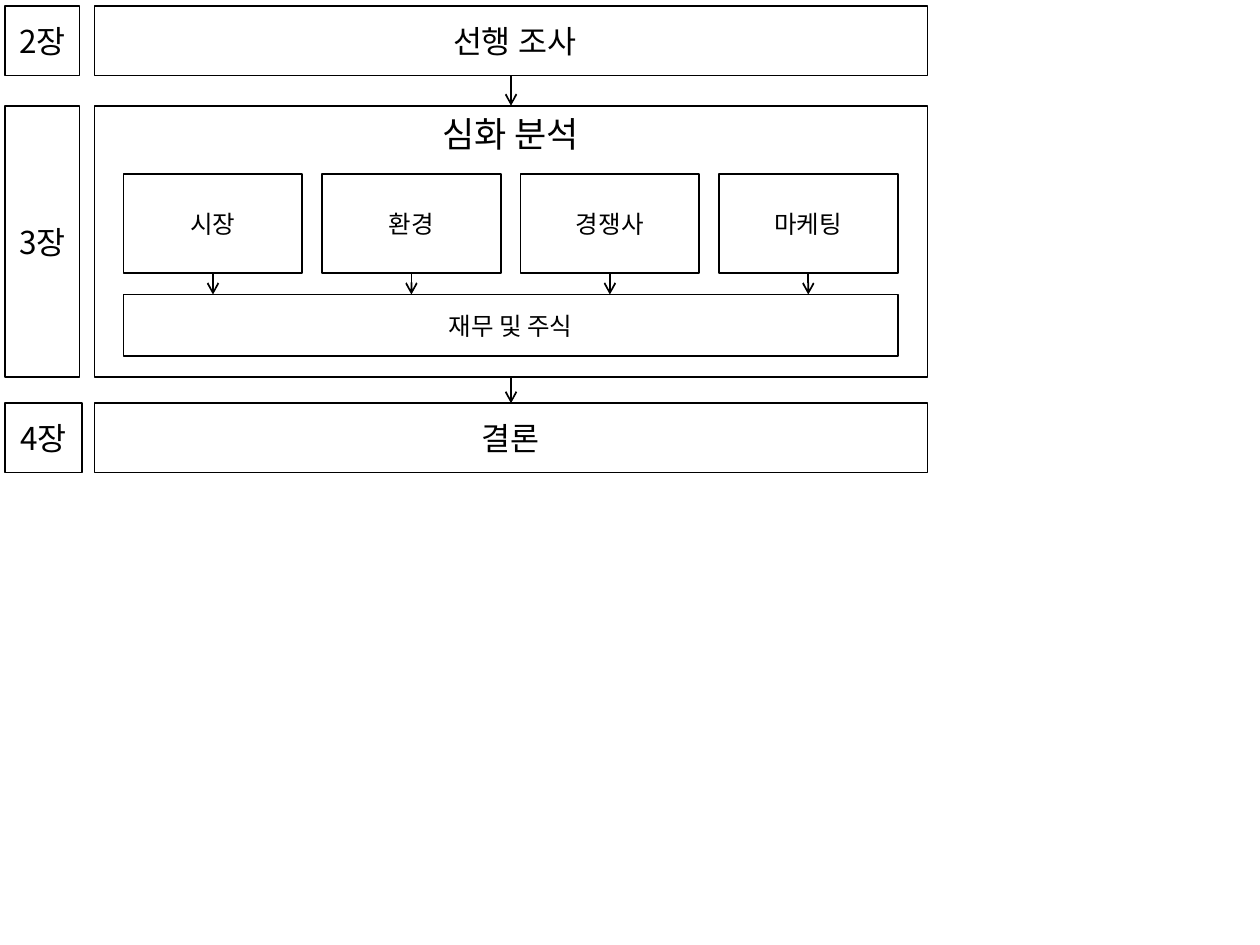
from lxml.etree import SubElement
from pptx import Presentation
from pptx.dml.color import RGBColor
from pptx.enum.shapes import MSO_CONNECTOR, MSO_SHAPE
from pptx.enum.text import MSO_ANCHOR, PP_ALIGN
from pptx.oxml.ns import qn
from pptx.util import Pt

BLACK = RGBColor(0, 0, 0)
WHITE = RGBColor(255, 255, 255)
FONT = "Noto Sans CJK KR"

CHAPTER_LEFT, CHAPTER_WIDTH = 2.9, 42.5
STAGE_LEFT, STAGE_WIDTH = 54, 476
STAGE_CENTER = STAGE_LEFT + STAGE_WIDTH / 2
SURVEY_TOP, ANALYSIS_TOP, CONCLUSION_TOP = 3.6, 60.4, 230.4
BAND_HEIGHT, ANALYSIS_HEIGHT = 39.6, 155.2
TOPIC_LEFT, TOPIC_TOP = 70.6, 99.4
TOPIC_WIDTH, TOPIC_HEIGHT, TOPIC_PITCH = 102.2, 56.8, 113.4
FINANCE_TOP, FINANCE_HEIGHT = 168.3, 35.3
TOPICS = ["시장", "환경", "경쟁사", "마케팅"]


def add_box(slide, text, left, top, width, height, size=18, filled=True):
    """Add an outlined rectangle with centred text."""
    box = slide.shapes.add_shape(
        MSO_SHAPE.RECTANGLE, Pt(left), Pt(top), Pt(width), Pt(height))
    box.shadow.inherit = False
    if filled:
        box.fill.solid()
        box.fill.fore_color.rgb = WHITE
    else:
        box.fill.background()
    box.line.color.rgb = BLACK
    box.line.width = Pt(1)

    frame = box.text_frame
    frame.word_wrap = True
    frame.vertical_anchor = MSO_ANCHOR.MIDDLE
    frame.text = text
    paragraph = frame.paragraphs[0]
    paragraph.alignment = PP_ALIGN.CENTER
    font = paragraph.runs[0].font
    font.size = Pt(size)
    font.name = FONT
    font.color.rgb = BLACK
    SubElement(font._element, qn("a:ea"), typeface=FONT)
    return box


def add_down_arrow(slide, x, top, bottom):
    """Add a vertical connector with an open arrowhead at its foot."""
    arrow = slide.shapes.add_connector(
        MSO_CONNECTOR.STRAIGHT, Pt(x), Pt(top), Pt(x), Pt(bottom))
    arrow.line.color.rgb = BLACK
    arrow.line.width = Pt(1)
    SubElement(arrow.line._get_or_add_ln(), qn("a:tailEnd"), type="arrow")
    SubElement(arrow._element.spPr, qn("a:effectLst"))


def add_analysis(slide):
    """Add the analysis stage with its topics and the finance band."""
    analysis = add_box(slide, "심화 분석", STAGE_LEFT, ANALYSIS_TOP,
                       STAGE_WIDTH, ANALYSIS_HEIGHT, size=20, filled=False)
    analysis.text_frame.vertical_anchor = MSO_ANCHOR.TOP
    analysis.text_frame.margin_top = Pt(4)

    finance_width = TOPIC_PITCH * (len(TOPICS) - 1) + TOPIC_WIDTH
    add_box(slide, "재무 및 주식", TOPIC_LEFT, FINANCE_TOP,
            finance_width, FINANCE_HEIGHT, size=14)
    for index, topic in enumerate(TOPICS):
        left = TOPIC_LEFT + index * TOPIC_PITCH
        add_box(slide, topic, left, TOPIC_TOP, TOPIC_WIDTH, TOPIC_HEIGHT, size=14)
        add_down_arrow(slide, left + TOPIC_WIDTH / 2,
                       TOPIC_TOP + TOPIC_HEIGHT, FINANCE_TOP)


def main():
    """Build the chapter flow slide."""
    deck = Presentation()
    deck.slide_width, deck.slide_height = Pt(720), Pt(540)
    slide = deck.slides.add_slide(deck.slide_layouts[6])

    add_analysis(slide)
    for text, top in [(" 선행 조사", SURVEY_TOP), ("결론", CONCLUSION_TOP)]:
        add_box(slide, text, STAGE_LEFT, top, STAGE_WIDTH, BAND_HEIGHT)

    chapters = [
        ("2장", SURVEY_TOP, CHAPTER_WIDTH, BAND_HEIGHT),
        ("3장", ANALYSIS_TOP, CHAPTER_WIDTH, ANALYSIS_HEIGHT),
        ("4장", CONCLUSION_TOP, 44, BAND_HEIGHT),
    ]
    for text, top, width, height in chapters:
        add_box(slide, text, CHAPTER_LEFT, top, width, height)

    add_down_arrow(slide, STAGE_CENTER, SURVEY_TOP + BAND_HEIGHT, ANALYSIS_TOP)
    add_down_arrow(slide, STAGE_CENTER, ANALYSIS_TOP + ANALYSIS_HEIGHT,
                   CONCLUSION_TOP)
    deck.save("out.pptx")


main()
